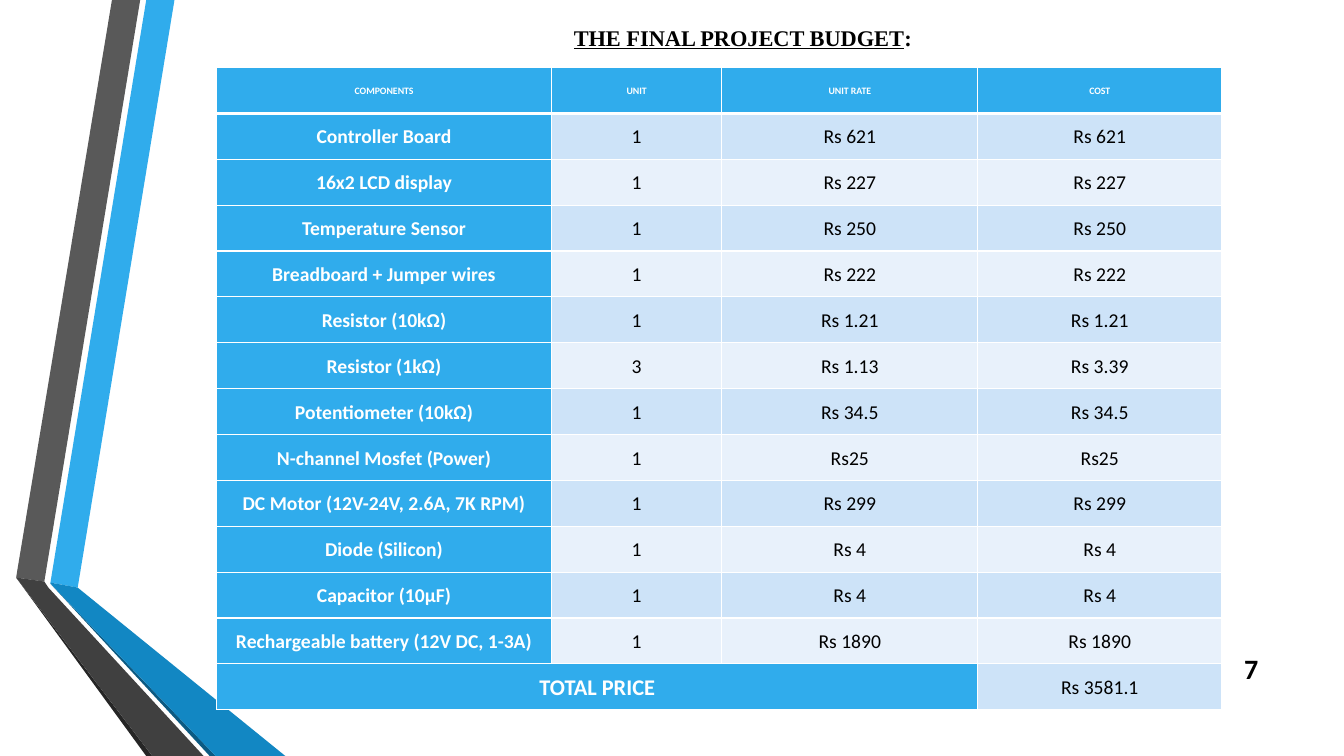
"""Build the project budget slide."""
from lxml import etree
from pptx import Presentation
from pptx.dml.color import RGBColor
from pptx.enum.text import MSO_ANCHOR, MSO_AUTO_SIZE, PP_ALIGN
from pptx.oxml.ns import qn
from pptx.util import Inches, Pt

LEFT, CENTER, RIGHT = PP_ALIGN.LEFT, PP_ALIGN.CENTER, PP_ALIGN.RIGHT
MIDDLE = MSO_ANCHOR.MIDDLE
NO_AUTOFIT = MSO_AUTO_SIZE.NONE

COLORS = {
    "white": "FFFFFF", "black": "000000", "blue": "30ACEC",
    "blue_dark": "1287C3", "blue_shadow": "0C5A82", "gray": "595959",
    "gray_dark": "404040", "gray_shadow": "262626",
    "band_dark": "CDE3F8", "band_light": "E8F1FB",
}

RIBBONS = [
    ("blue", [(3.75, 77.07), (5.78, 77.73), (12.98, 0), (10.88, 0)]),
    ("gray", [(10.43, 0), (8.33, 0), (1.2, 76.4), (3.3, 76.93)]),
    ("gray_shadow", [(1.2, 76.4), (10.88, 100), (11.33, 100)]),
    ("blue_shadow", [(3.75, 77.2), (15.6, 100), (16.05, 100)]),
    ("blue_dark", [(3.75, 77.2), (16.05, 100), (21.23, 100), (5.78, 77.73), (3.75, 77.07)]),
    ("gray_dark", [(15.15, 100), (3.6, 77.73), (3.3, 76.93), (1.2, 76.4), (11.33, 100)]),
]

COLUMN_WIDTHS = [24.91, 12.68, 19.05, 18.15]
ROW_HEIGHT = 6.07
BUDGET = [
    ("COMPONENTS", "UNIT", "UNIT RATE", "COST"),
    ("Controller Board", "1", "Rs 621", "Rs 621"),
    ("16x2 LCD display", "1", "Rs 227", "Rs 227"),
    ("Temperature Sensor", "1", "Rs 250", "Rs 250"),
    ("Breadboard + Jumper wires", "1", "Rs 222", "Rs 222"),
    ("Resistor (10kΩ)", "1", "Rs 1.21", "Rs 1.21"),
    ("Resistor (1kΩ)", "3", "Rs 1.13", "Rs 3.39"),
    ("Potentiometer (10kΩ)", "1", "Rs 34.5", "Rs 34.5"),
    ("N-channel Mosfet (Power)", "1", "Rs25", "Rs25"),
    ("DC Motor (12V-24V, 2.6A, 7K RPM)", "1", "Rs 299", "Rs 299"),
    ("Diode (Silicon)", "1", "Rs 4", "Rs 4"),
    ("Capacitor (10µF)", "1", "Rs 4", "Rs 4"),
    ("Rechargeable battery (12V DC, 1-3A)", "1", "Rs 1890", "Rs 1890"),
    ("TOTAL PRICE", "", "", "Rs 3581.1"),
]


def rgb(name):
    """Return the named colour."""
    return RGBColor.from_string(COLORS[name])


def write(paragraph, text, *, size, font="Calibri", color="black", bold=False,
          underline=False, align=CENTER):
    """Add a formatted run to a paragraph."""
    paragraph.alignment = align
    run = paragraph.add_run()
    run.text = text
    run.font.name = font
    run.font.size = Pt(size)
    run.font.bold = bold
    run.font.underline = underline
    run.font.color.rgb = rgb(color)


def set_borders(cell, **widths):
    """Draw white cell borders of the given widths in points."""
    properties = cell._tc.get_or_add_tcPr()
    for side, width in widths.items():
        line = etree.SubElement(properties, qn(f"a:ln{side}"), w=str(Pt(width)))
        fill = etree.SubElement(line, qn("a:solidFill"))
        etree.SubElement(fill, qn("a:srgbClr"), val=COLORS["white"])


class SlideBuilder:
    """Place elements on a slide by percentages of its width and height."""

    def __init__(self, presentation):
        """Add a title-only slide."""
        self.width = presentation.slide_width
        self.height = presentation.slide_height
        self.slide = presentation.slides.add_slide(presentation.slide_layouts[5])
        self.shapes = self.slide.shapes
        self.slide.background.fill.solid()
        self.slide.background.fill.fore_color.rgb = rgb("white")

    def x(self, share):
        """Convert a percentage of the width."""
        return round(self.width * share / 100)

    def y(self, share):
        """Convert a percentage of the height."""
        return round(self.height * share / 100)

    def box(self, left, top, width, height):
        """Convert a rectangle given in percentages."""
        return self.x(left), self.y(top), self.x(width), self.y(height)

    def ribbon(self, color, points):
        """Draw a filled polygon."""
        start, *rest = [(self.x(left), self.y(top)) for left, top in points]
        builder = self.shapes.build_freeform(*start)
        builder.add_line_segments(rest, close=True)
        shape = builder.convert_to_shape()
        shape.shadow.inherit = False
        shape.fill.solid()
        shape.fill.fore_color.rgb = rgb(color)
        shape.line.fill.background()

    def title(self, text, ending, *area):
        """Write the underlined title and its plain ending."""
        title = self.shapes.title
        title.left, title.top, title.width, title.height = self.box(*area)
        frame = title.text_frame
        frame.auto_size = NO_AUTOFIT
        frame.vertical_anchor = MIDDLE
        for part, underline in ((text, True), (ending, False)):
            write(frame.paragraphs[0], part, size=16, font="Times New Roman",
                  bold=True, underline=underline, align=LEFT)

    def page_number(self, text, *area):
        """Write the page number."""
        frame = self.shapes.add_textbox(*self.box(*area)).text_frame
        frame.word_wrap = True
        frame.vertical_anchor = MIDDLE
        write(frame.paragraphs[0], text, size=20, bold=True, align=RIGHT)

    def budget_table(self, rows, left, top):
        """Draw the budget with a header, banded rows and a total."""
        area = self.box(left, top, sum(COLUMN_WIDTHS), ROW_HEIGHT * len(rows))
        table = self.shapes.add_table(len(rows), len(COLUMN_WIDTHS), *area).table
        for column, width in zip(table.columns, COLUMN_WIDTHS):
            column.width = self.x(width)
        last = len(rows) - 1
        table.cell(last, 0).merge(table.cell(last, 2))
        for row_index, values in enumerate(rows):
            table.rows[row_index].height = self.y(ROW_HEIGHT)
            band = "band_dark" if row_index % 2 else "band_light"
            for column_index, text in enumerate(values):
                cell = table.cell(row_index, column_index)
                heading = row_index == 0 or column_index == 0 or cell.is_spanned
                set_borders(cell, L=1, R=1, T=3 if row_index == 1 else 1,
                            B=3 if row_index == 0 else 1)
                cell.fill.solid()
                cell.fill.fore_color.rgb = rgb("blue" if heading else band)
                cell.vertical_anchor = MIDDLE
                cell.margin_left = cell.margin_right = Inches(0.05)
                cell.margin_top = cell.margin_bottom = 0
                if text:
                    size = 7 if row_index == 0 else 14
                    if cell.is_merge_origin:
                        size = 16
                    paragraph = cell.text_frame.paragraphs[0]
                    paragraph.line_spacing = 1.07
                    write(paragraph, text, size=size, bold=heading,
                          color="white" if heading else "black")


def main():
    """Build and save the presentation."""
    presentation = Presentation()
    presentation.slide_width = Inches(13.33)
    presentation.slide_height = Inches(7.5)
    builder = SlideBuilder(presentation)
    for color, points in RIBBONS:
        builder.ribbon(color, points)
    builder.page_number("7", 89.87, 85.73, 4.5, 5.33)
    builder.budget_table(BUDGET, 16.12, 8.93)
    builder.title("THE FINAL PROJECT BUDGET", ":", 41.94, 2.4, 27.98, 5.07)
    presentation.save("out.pptx")


if __name__ == "__main__":
    main()
